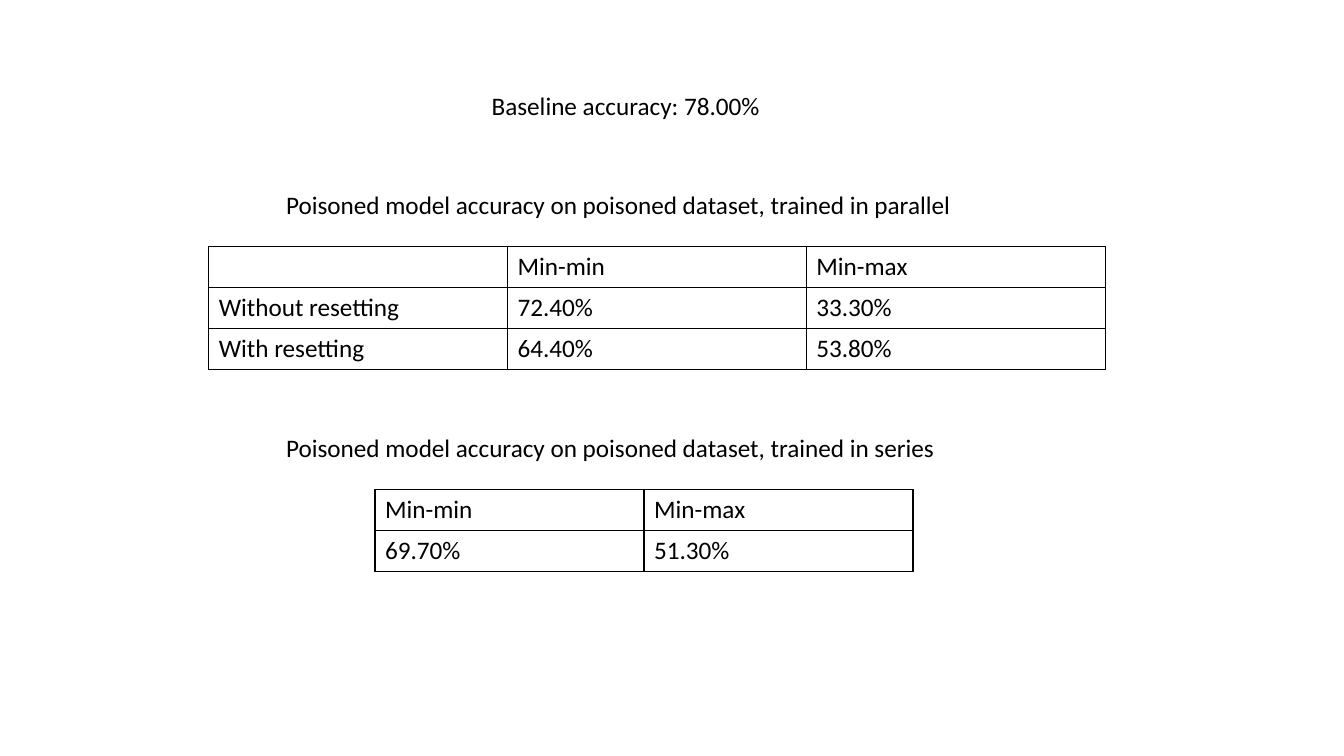
import dataclasses

import lxml.etree
import pptx
import pptx.dml.color
import pptx.enum.text
import pptx.oxml.ns
import pptx.util

Cm = pptx.util.Cm

BASELINE = ("Baseline accuracy: 78.00%", 12.14, 2.16, 9.6)

# Lengths are in centimetres.
RESULTS = [
    {
        "caption": "Poisoned model accuracy on poisoned dataset, trained in parallel",
        "left": 5.26, "top": 6.22, "column_width": 7.53,
        "rows": [
            ("", "Min-min", "Min-max"),
            ("Without resetting", "72.40%", "33.30%"),
            ("With resetting", "64.40%", "53.80%"),
        ],
    },
    {
        "caption": "Poisoned model accuracy on poisoned dataset, trained in series",
        "left": 9.45, "top": 12.34, "column_width": 6.78,
        "rows": [
            ("Min-min", "Min-max"),
            ("69.70%", "51.30%"),
        ],
    },
]

ROW_HEIGHT = 1.03
CAPTION_LEFT, CAPTION_WIDTH, CAPTION_RISE = 6.96, 19.96, 1.57
TEXT_HEIGHT = 1.02


@dataclasses.dataclass(frozen=True)
class Theme:
    """Colours, font and sizes of the slide."""
    font: str = "Calibri"
    size: int = 18
    ink: str = "000000"
    border: int = 1


THEME = Theme()


def write(frame, text):
    """Put one styled paragraph into a text frame."""
    frame.text = text
    para = frame.paragraphs[0]
    for font in [para.font] + [span.font for span in para.runs]:
        font.name = THEME.font
        font.size = pptx.util.Pt(THEME.size)
        font.color.rgb = pptx.dml.color.RGBColor.from_string(THEME.ink)


def add_text(page, text, left, top, width):
    """Add a one-line text box."""
    box = page.shapes.add_textbox(Cm(left), Cm(top), Cm(width), Cm(TEXT_HEIGHT))
    box.text_frame.word_wrap = True
    box.text_frame.auto_size = pptx.enum.text.MSO_AUTO_SIZE.SHAPE_TO_FIT_TEXT
    write(box.text_frame, text)


def add_borders(cell):
    """Draw a solid line on all four sides of a cell."""
    qn = pptx.oxml.ns.qn
    properties = cell._tc.get_or_add_tcPr()
    for side in ("lnL", "lnR", "lnT", "lnB"):
        line = lxml.etree.SubElement(properties, qn("a:" + side),
                                     w=str(pptx.util.Pt(THEME.border)))
        fill = lxml.etree.SubElement(line, qn("a:solidFill"))
        lxml.etree.SubElement(fill, qn("a:srgbClr"), val=THEME.ink)


def add_result(page, result):
    """Add a result table with its caption above."""
    rows = result["rows"]
    count = len(rows[0])
    width = result["column_width"]
    table = page.shapes.add_table(
        len(rows), count, Cm(result["left"]), Cm(result["top"]),
        Cm(width * count), Cm(ROW_HEIGHT * len(rows))).table
    table.first_row = table.horz_banding = False
    for column in table.columns:
        column.width = Cm(width)
    for row, texts in zip(table.rows, rows):
        row.height = Cm(ROW_HEIGHT)
        for cell, text in zip(row.cells, texts):
            write(cell.text_frame, text)
            add_borders(cell)
            cell.fill.background()
    add_text(page, result["caption"], CAPTION_LEFT,
             result["top"] - CAPTION_RISE, CAPTION_WIDTH)


def main():
    """Build and save the deck."""
    deck = pptx.Presentation()
    deck.slide_width, deck.slide_height = Cm(33.87), Cm(19.05)
    page = deck.slides.add_slide(deck.slide_layouts[6])
    for result in RESULTS:
        add_result(page, result)
    add_text(page, *BASELINE)
    deck.save("out.pptx")


main()
